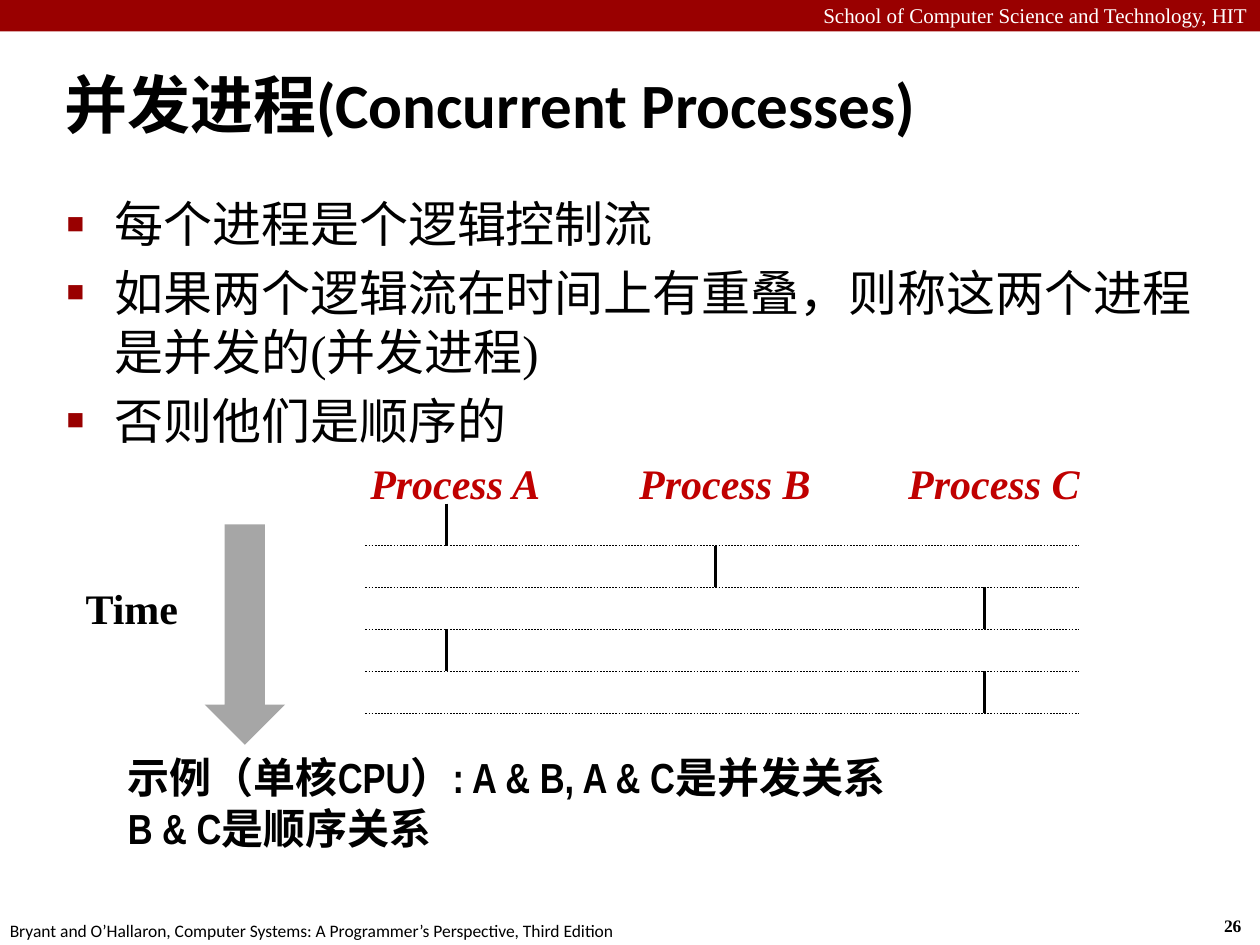
from dataclasses import dataclass
from typing import Any, Optional

import lxml.etree
import pptx
import pptx.dml.color
import pptx.enum.dml
import pptx.enum.shapes
import pptx.enum.text
import pptx.oxml.ns
import pptx.util

Pt = pptx.util.Pt
Align = pptx.enum.text.PP_ALIGN
Anchor = pptx.enum.text.MSO_ANCHOR
Shape = pptx.enum.shapes.MSO_SHAPE


@dataclass(frozen=True)
class Theme:
    black: str = "000000"
    white: str = "FFFFFF"
    crimson: str = "990000"
    process_red: str = "C00000"
    arrow_gray: str = "A6A6A6"
    serif: str = "Times New Roman"
    sans: str = "Calibri"
    narrow: str = "Arial Narrow"
    title: float = 36
    body: float = 28
    diagram: float = 24
    header: float = 12
    footer: float = 10


THEME = Theme()


@dataclass(frozen=True)
class Box:
    left: float
    top: float
    width: float
    height: float


@dataclass(frozen=True)
class Style:
    size: float
    font: str
    color: str = THEME.black
    bold: bool = False
    italic: bool = False


@dataclass(frozen=True)
class Layout:
    align: Any = Align.LEFT
    anchor: Any = Anchor.TOP
    wrap: bool = True
    hanging: float = 0
    space_before: float = 0
    bullet: Optional[str] = None


@dataclass(frozen=True)
class Label:
    box: Box
    lines: tuple[str, ...]
    style: Style
    layout: Layout = Layout()


@dataclass(frozen=True)
class Segment:
    x1: float
    y1: float
    x2: float
    y2: float
    weight: float
    dashed: bool = False


def rgb(color: str) -> pptx.dml.color.RGBColor:
    return pptx.dml.color.RGBColor.from_string(color)


def add_drawing_child(parent: Any, tag: str, **attributes: str) -> Any:
    return lxml.etree.SubElement(parent, pptx.oxml.ns.qn(f"a:{tag}"), **attributes)


def format_paragraph(paragraph: Any, layout: Layout, first: bool) -> None:
    properties = paragraph._p.get_or_add_pPr()
    if layout.hanging:
        properties.set("marL", str(Pt(layout.hanging)))
        properties.set("indent", str(-Pt(layout.hanging)))
    if layout.bullet:
        bullet_color = add_drawing_child(properties, "buClr")
        add_drawing_child(bullet_color, "srgbClr", val=THEME.crimson)
        add_drawing_child(properties, "buSzPct", val="60000")
        add_drawing_child(properties, "buFont", typeface=THEME.serif)
        add_drawing_child(properties, "buChar", char=layout.bullet)
    paragraph.alignment = layout.align
    if layout.space_before and not first:
        paragraph.space_before = Pt(layout.space_before)


def draw_label(slide: Any, label: Label) -> None:
    box, style, layout = label.box, label.style, label.layout
    frame = slide.shapes.add_textbox(
        Pt(box.left), Pt(box.top), Pt(box.width), Pt(box.height)
    ).text_frame
    frame.word_wrap = layout.wrap
    frame.vertical_anchor = layout.anchor
    for index, line in enumerate(label.lines):
        paragraph = frame.add_paragraph() if index else frame.paragraphs[0]
        format_paragraph(paragraph, layout, first=index == 0)
        run = paragraph.add_run()
        run.text = line
        run.font.size = Pt(style.size)
        run.font.name = style.font
        run.font.bold = style.bold
        run.font.italic = style.italic
        run.font.color.rgb = rgb(style.color)


def draw_block(slide: Any, kind: Any, box: Box, color: str) -> None:
    block = slide.shapes.add_shape(
        kind, Pt(box.left), Pt(box.top), Pt(box.width), Pt(box.height)
    )
    block.shadow.inherit = False
    block.fill.solid()
    block.fill.fore_color.rgb = rgb(color)
    block.line.fill.background()


def draw_segment(slide: Any, segment: Segment) -> None:
    connector = slide.shapes.add_connector(
        pptx.enum.shapes.MSO_CONNECTOR.STRAIGHT,
        Pt(segment.x1), Pt(segment.y1), Pt(segment.x2), Pt(segment.y2),
    )
    connector.line.color.rgb = rgb(THEME.black)
    connector.line.width = Pt(segment.weight)
    if segment.dashed:
        connector.line.dash_style = pptx.enum.dml.MSO_LINE.DASH
    add_drawing_child(connector._element.spPr, "effectLst")


def draw_process_timeline(slide: Any) -> None:
    first_lane, lane_gap = 255.1, 153.7
    start, step = 287.8, 23.95
    running = "ABCAC"
    name_style = Style(THEME.diagram, THEME.serif, THEME.process_red, True, True)
    lanes = {name: first_lane + i * lane_gap for i, name in enumerate("ABC")}

    for name, x in lanes.items():
        name_box = Box(x - 50.6, 257.8, 120, 26.6)
        draw_label(slide, Label(name_box, (f"Process {name}",), name_style))
    for slot, name in enumerate(running):
        x, top = lanes[name], start + slot * step
        bottom = top + step
        draw_segment(slide, Segment(x, top, x, bottom, 2))
        draw_segment(slide, Segment(208.8, bottom, 616.3, bottom, 0.25, dashed=True))

    time_style = Style(THEME.diagram, THEME.serif, bold=True)
    draw_label(slide, Label(Box(41.8, 329.3, 82.8, 36), ("Time",), time_style))
    draw_block(slide, Shape.DOWN_ARROW, Box(116.9, 299.6, 46, 126), THEME.arrow_gray)


def main() -> None:
    deck = pptx.Presentation()
    deck.slide_width, deck.slide_height = Pt(720), Pt(540)
    slide = deck.slides.add_slide(deck.slide_layouts[6])

    draw_block(slide, Shape.RECTANGLE, Box(0, 0, 720, 18), THEME.crimson)
    labels = (
        Label(Box(0, -2, 720, 21.6), ("School of Computer Science and Technology, HIT",),
              Style(THEME.header, THEME.serif, THEME.white), Layout(align=Align.RIGHT)),
        Label(Box(692.4, 519.1, 26.6, 19.4), ("26",),
              Style(THEME.footer, THEME.serif, bold=True), Layout(wrap=False)),
        Label(Box(-1.5, 522, 365.8, 19.4),
              ("Bryant and O’Hallaron, Computer Systems: A Programmer’s Perspective, Third Edition",),
              Style(THEME.footer, THEME.sans), Layout(wrap=False)),
        Label(Box(29.5, 29, 684.7, 59.8), ("并发进程(Concurrent Processes)",),
              Style(THEME.title, THEME.sans, bold=True),
              Layout(anchor=Anchor.MIDDLE, hanging=9)),
        Label(Box(31, 107.3, 676.8, 414.7),
              ("每个进程是个逻辑控制流",
               "如果两个逻辑流在时间上有重叠，则称这两个进程是并发的(并发进程)",
               "否则他们是顺序的"),
              Style(THEME.body, THEME.serif),
              Layout(hanging=27.4, space_before=5.6, bullet="■")),
        Label(Box(66, 426, 599.8, 65.5),
              ("示例（单核CPU）: A & B, A & C是并发关系", "B & C是顺序关系"),
              Style(THEME.diagram, THEME.narrow, bold=True)),
    )
    for label in labels:
        draw_label(slide, label)
    draw_process_timeline(slide)
    deck.save("out.pptx")


if __name__ == "__main__":
    main()
